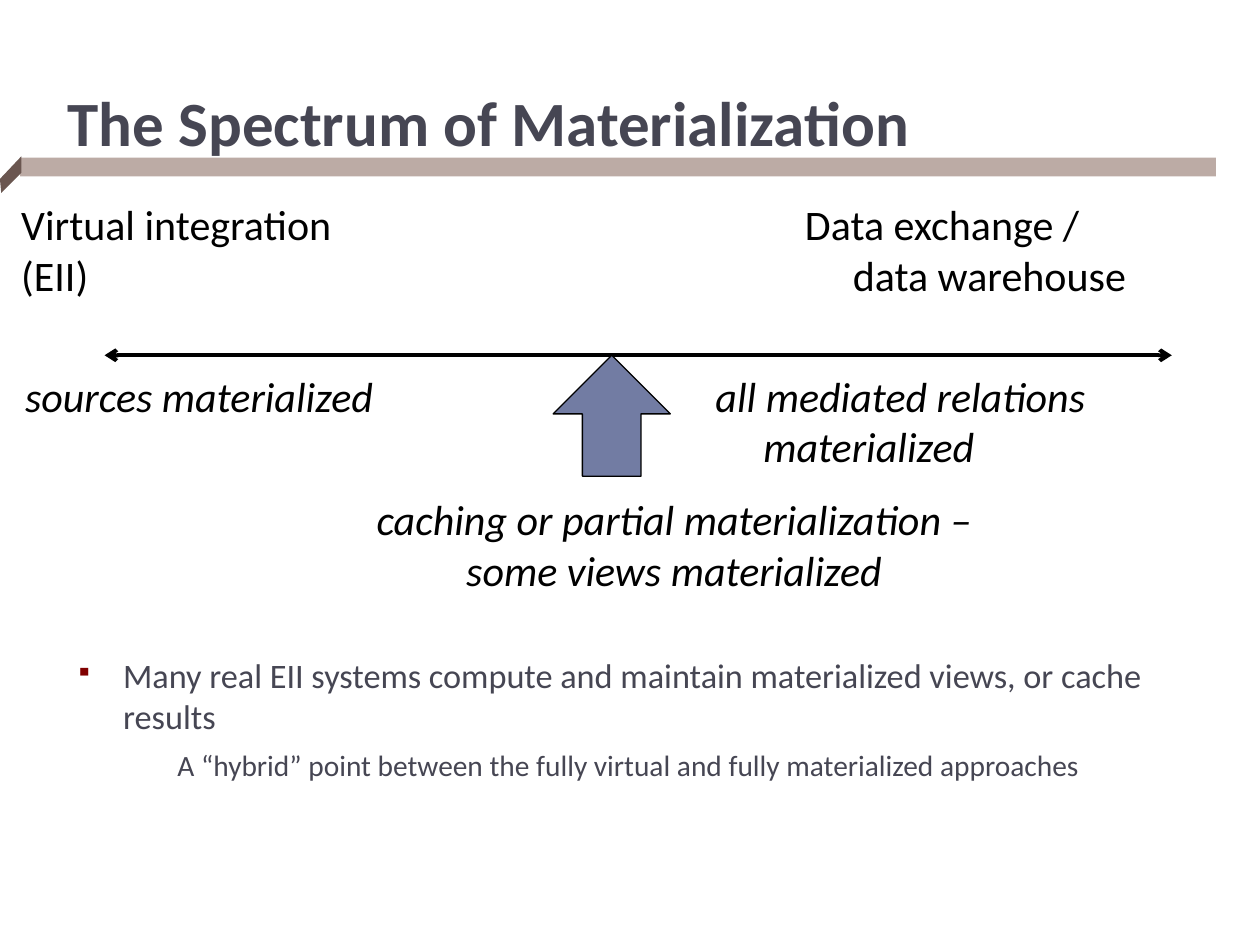
"""Build the slide on the spectrum of materialization."""
from lxml import etree
from pptx import Presentation
from pptx import util as u
from pptx.dml.color import RGBColor
from pptx.enum import shapes, text
from pptx.oxml.ns import qn

C = {"ink": "464653", "black": "000000", "bar": "BCABA5", "fold": "6A5650",
     "arrow": "727CA3", "bullet": "800000"}
COLS, ROWS = 10, 7.5

prs = Presentation()
prs.slide_width, prs.slide_height = u.Inches(10), u.Inches(7.5)
col, row = prs.slide_width / COLS, prs.slide_height / ROWS
s = prs.slides.add_slide(prs.slide_layouts[6])


def grid(x, y, w, h):
    return int(x * col), int(y * row), int(w * col), int(h * row)


def add_text(box, paras, size=24, color="black", bold=False, italic=False,
             align=text.PP_ALIGN.LEFT, anchor=text.MSO_ANCHOR.TOP, left=0.38, hang=0.38):
    tf = s.shapes.add_textbox(*grid(*box)).text_frame
    tf.word_wrap = True
    tf.vertical_anchor = anchor
    for i, line in enumerate(paras):
        p = tf.paragraphs[0] if i == 0 else tf.add_paragraph()
        p.text, p.alignment = line, align
        pPr = p._p.get_or_add_pPr()
        pPr.set("marL", str(u.Inches(left)))
        pPr.set("indent", str(-u.Inches(hang)))
        for r in p.runs:
            r.font.name, r.font.size = "Calibri", u.Pt(size)
            r.font.bold, r.font.italic = bold, italic
            r.font.color.rgb = RGBColor.from_string(C[color])
    return tf


bar = s.shapes.add_shape(shapes.MSO_SHAPE.RECTANGLE, *grid(0.16, 1.25, 9.49, 0.15))
fb = s.shapes.build_freeform(17, 124, scale=col / 100)
fb.add_line_segments([(0, 142), (1, 153), (17, 137)], close=True)
fold = fb.convert_to_shape()
for sp, name in ((bar, "bar"), (fold, "fold")):
    sp.shadow.inherit = False
    sp.fill.solid()
    sp.fill.fore_color.rgb = RGBColor.from_string(C[name])
    sp.line.fill.background()

add_text((0.44, 0.17, 8.5, 1.14), ["The Spectrum of Materialization"], size=36,
         color="ink", bold=True, anchor=text.MSO_ANCHOR.BOTTOM, left=0, hang=0)

body = add_text((0.5, 5.14, 8.94, 1.48), [
    "Many real EII systems compute and maintain materialized views, or cache results",
    "A “hybrid” point between the fully virtual and fully materialized approaches",
], size=19.6, color="ink")
point, detail = body.paragraphs
pPr = point._p.get_or_add_pPr()
buClr = etree.SubElement(pPr, qn("a:buClr"))
etree.SubElement(buClr, qn("a:srgbClr"), val=C["bullet"])
etree.SubElement(pPr, qn("a:buSzPct"), val="70000")
etree.SubElement(pPr, qn("a:buChar"), char="▪")
detail.level = 1
detail.space_before = u.Pt(6)
detail.runs[0].font.size = u.Pt(16.8)
pPr = detail._p.get_or_add_pPr()
pPr.set("marL", str(u.Inches(0.81)))
pPr.set("indent", "0")

add_text((0.07, 1.53, 3.81, 0.9), ["Virtual integration", "(EII)"])
add_text((6.29, 1.53, 3.51, 0.9), ["Data exchange /\vdata warehouse"])
add_text((0.1, 2.89, 4.01, 0.5), ["sources materialized"], italic=True)
add_text((5.58, 2.89, 4.19, 0.9), ["all mediated relations\vmaterialized"], italic=True)
add_text((2.26, 3.87, 6.18, 0.9),
         ["caching or partial materialization –", "some views materialized"],
         italic=True, align=text.PP_ALIGN.CENTER)

x, y, w, h = grid(0.83, 2.82, 8.47, 0)
axis = s.shapes.add_connector(shapes.MSO_CONNECTOR.STRAIGHT, x, y, x + w, y)
axis.line.color.rgb = RGBColor.from_string(C["black"])
axis.line.width = u.Pt(2.25)
for end in ("a:headEnd", "a:tailEnd"):
    etree.SubElement(axis.line._get_or_add_ln(), qn(end), type="arrow")
etree.SubElement(axis._element.spPr, qn("a:effectLst"))

sp = s.shapes.add_shape(shapes.MSO_SHAPE.UP_ARROW, *grid(4.39, 2.82, 0.93, 0.96))
sp.shadow.inherit = False
sp.fill.solid()
sp.fill.fore_color.rgb = RGBColor.from_string(C["arrow"])
sp.line.color.rgb = RGBColor.from_string(C["black"])
sp.line.width = u.Pt(0.75)

prs.save("out.pptx")
